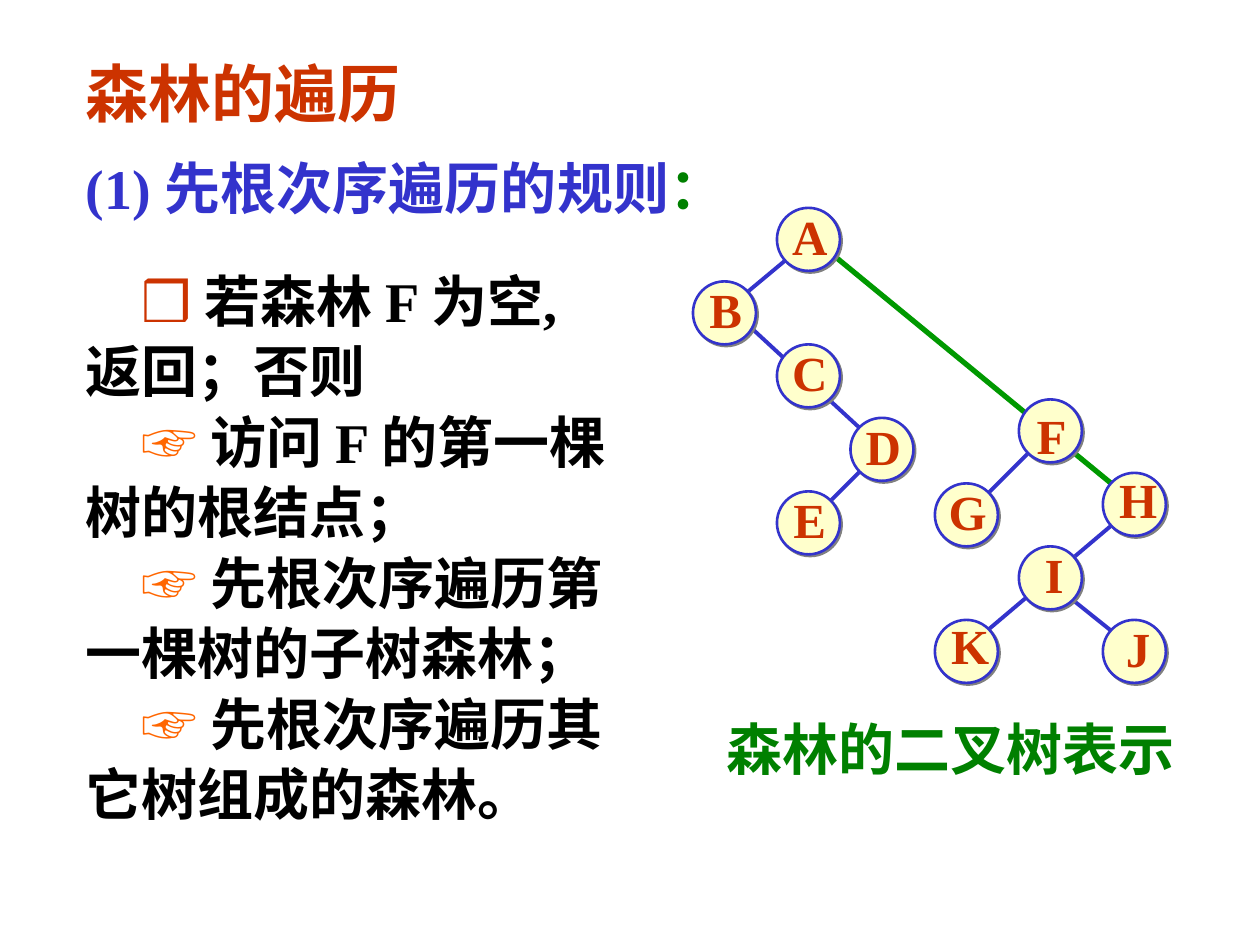
from lxml import etree
from pptx import Presentation
from pptx.dml.color import RGBColor
from pptx.enum.shapes import MSO_CONNECTOR, MSO_SHAPE
from pptx.enum.text import MSO_ANCHOR, MSO_AUTO_SIZE, PP_ALIGN
from pptx.util import Inches, Pt

STRAIGHT = MSO_CONNECTOR.STRAIGHT
ELLIPSE = MSO_SHAPE.OVAL
TOP, MIDDLE = MSO_ANCHOR.TOP, MSO_ANCHOR.MIDDLE
LEFT, CENTER = PP_ALIGN.LEFT, PP_ALIGN.CENTER
NO_FIT = MSO_AUTO_SIZE.NONE
DRAWING = "{http://schemas.openxmlformats.org/drawingml/2006/main}"

SERIF, SANS = "Times New Roman", "Arial"
RED, BLUE, GREEN, ORANGE = "CC3300", "3333CC", "008000", "FF6600"
BLACK, CREAM, BRANCH, GREY = "000000", "FFFFCC", "009900", "808080"

CELL = 1 / 12
NODE = 6 * CELL
LABEL_HEIGHT = 0.57
RULE_INDENT = 32

RULES = [
    ("❒", RED, " 若森林 F 为空,", "返回；否则"),
    ("☞", ORANGE, " 访问 F 的第一棵", "树的根结点；"),
    ("☞", ORANGE, " 先根次序遍历第", "一棵树的子树森林；"),
    ("☞", ORANGE, " 先根次序遍历其", "它树组成的森林。"),
]

LEFT_NODES = [
    ("A", 8, 0, 0.01, -0.03), ("B", 0, 7, 0.01, -0.03),
    ("C", 8, 13, 0.01, -0.03), ("D", 15, 20, 0.01, -0.03),
    ("E", 8, 27, 0.01, -0.03),
]
LEFT_EDGES = [
    (13, 4.2, 41, 27.2, BRANCH, 3),
    (17, 24, 12, 29, BLUE, 2.25),
    (4, 10, 17, 22, BLUE, 2.25),
    (10, 4, 4, 9, BLUE, 2.25),
]
RIGHT_NODES = [
    ("F", 8, 0, 0.01, 0.03), ("G", 0, 8, 0.01, -0.03),
    ("H", 16, 7, 0.03, -0.04), ("I", 8, 14, 0.03, -0.03),
    ("K", 0, 21, 0.03, -0.05), ("J", 16, 21, 0.03, -0.03),
]
RIGHT_EDGES = [
    (13, 19, 18, 23, BLUE, 2.25),
    (18, 11, 5, 22, BLUE, 2.25),
    (10, 4, 4, 10, BLUE, 2.25),
]


def color(value):
    return RGBColor.from_string(value)


def add_span(para, text, size, ink, face=SERIF):
    span = para.add_run()
    span.text = text
    span.font.size = Pt(size)
    span.font.bold = True
    span.font.name = face
    span.font.color.rgb = color(ink)


def prepare_frame(shape, wrap=True, anchor=TOP):
    frame = shape.text_frame
    frame.word_wrap = wrap
    frame.auto_size = NO_FIT
    frame.vertical_anchor = anchor
    return frame


def add_text_box(page, left, top, width, height, **options):
    box = page.shapes.add_textbox(*map(Inches, (left, top, width, height)))
    return prepare_frame(box, **options)


def place_title(page, left, top, width, height):
    title = page.shapes.title
    title.left, title.top = Inches(left), Inches(top)
    title.width, title.height = Inches(width), Inches(height)
    para = prepare_frame(title).paragraphs[0]
    para.alignment = LEFT
    add_span(para, "森林的遍历", 36, RED, SANS)


def place_rules(page, left, top, width, height):
    frame = add_text_box(page, left, top, width, height)
    heading = frame.paragraphs[0]
    heading.space_after = Pt(24)
    add_span(heading, "(1) 先根次序遍历的规则", 32, BLUE)
    add_span(heading, "：", 32, GREEN)
    for symbol, ink, opening, ending in RULES:
        para = frame.add_paragraph()
        para.line_spacing = 1.05
        para._p.get_or_add_pPr().set("indent", str(Pt(RULE_INDENT)))
        add_span(para, symbol, 32, ink, SANS)
        add_span(para, opening, 32, BLACK)
        para = frame.add_paragraph()
        para.line_spacing = 1.05
        add_span(para, ending, 32, BLACK)


def place_caption(page, left, top, width, height):
    frame = add_text_box(page, left, top, width, height)
    add_span(frame.paragraphs[0], "森林的二叉树表示", 32, GREEN)


def add_edge(page, start_x, start_y, end_x, end_y, ink, weight):
    ends = map(Inches, (start_x, start_y, end_x, end_y))
    edge = page.shapes.add_connector(STRAIGHT, *ends)
    edge.line.color.rgb = color(ink)
    edge.line.width = Pt(weight)
    etree.SubElement(edge._element.spPr, DRAWING + "effectLst")


def add_node(page, left, top):
    node = page.shapes.add_shape(ELLIPSE, *map(Inches, (left, top, NODE, NODE)))
    node.fill.solid()
    node.fill.fore_color.rgb = color(CREAM)
    node.line.color.rgb = color(BLUE)
    node.line.width = Pt(1.5)
    node.shadow.inherit = False
    effects = node._element.spPr.find(DRAWING + "effectLst")
    shadow = etree.SubElement(effects, DRAWING + "outerShdw", dist=str(Pt(1.4)),
                              dir="2700000", algn="ctr", rotWithShape="0")
    etree.SubElement(shadow, DRAWING + "srgbClr", val=GREY)


def add_label(page, name, left, top):
    frame = add_text_box(page, left, top, NODE, LABEL_HEIGHT,
                         wrap=False, anchor=MIDDLE)
    para = frame.paragraphs[0]
    para.alignment = CENTER
    add_span(para, name, 28, RED)


def place_tree(page, left, top, nodes, edges):
    for start_col, start_row, end_col, end_row, ink, weight in edges:
        add_edge(page, left + start_col * CELL, top + start_row * CELL,
                 left + end_col * CELL, top + end_row * CELL, ink, weight)
    for name, col, row, shift_x, shift_y in nodes:
        node_left, node_top = left + col * CELL, top + row * CELL
        add_node(page, node_left, node_top)
        add_label(page, name, node_left + shift_x,
                  node_top + (NODE - LABEL_HEIGHT) / 2 + shift_y)


def main():
    deck = Presentation()
    deck.slide_width, deck.slide_height = Inches(10), Inches(7.5)
    page = deck.slides.add_slide(deck.slide_layouts.get_by_name("Title Only"))
    place_title(page, 0.58, 0.38, 2.75, 0.7)
    place_caption(page, 5.67, 5.62, 3.79, 0.64)
    place_rules(page, 0.58, 1.17, 4.92, 6.1)
    place_tree(page, 5.5, 1.65, LEFT_NODES, LEFT_EDGES)
    place_tree(page, 7.42, 3.17, RIGHT_NODES, RIGHT_EDGES)
    deck.save("out.pptx")


if __name__ == "__main__":
    main()
